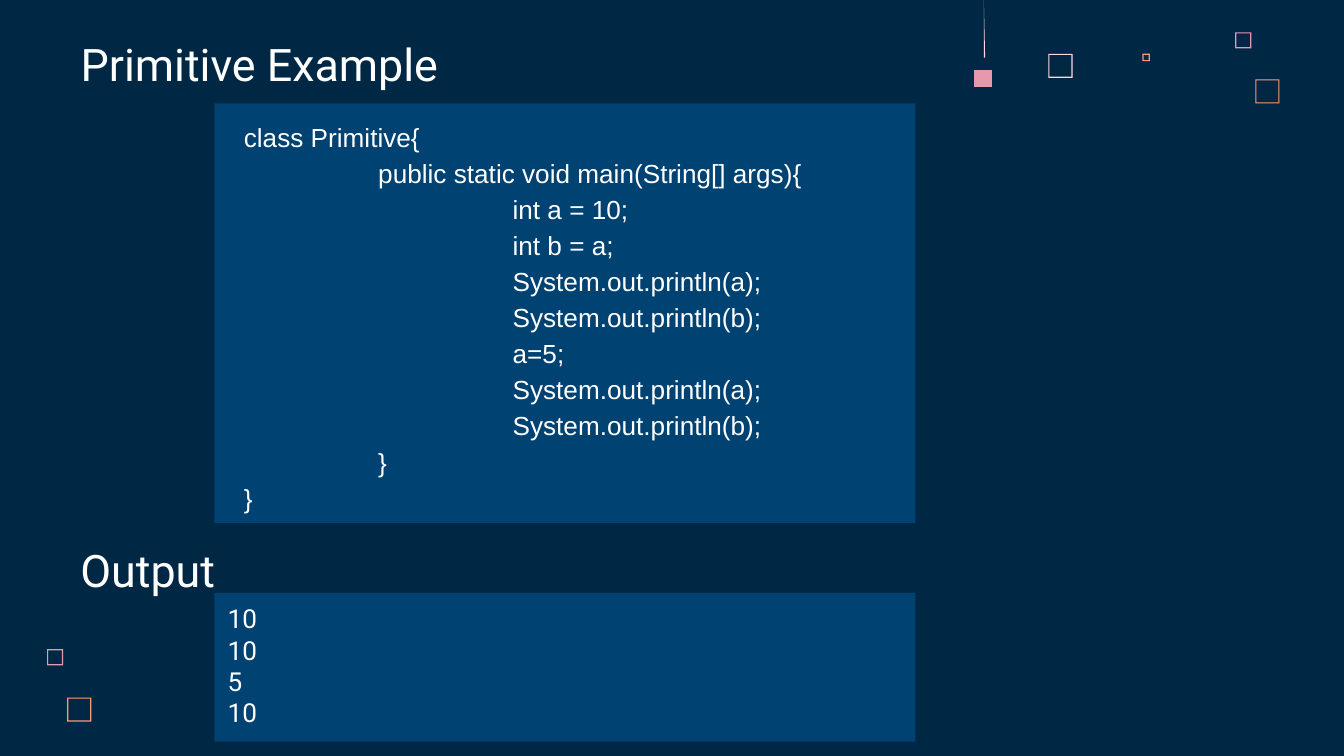
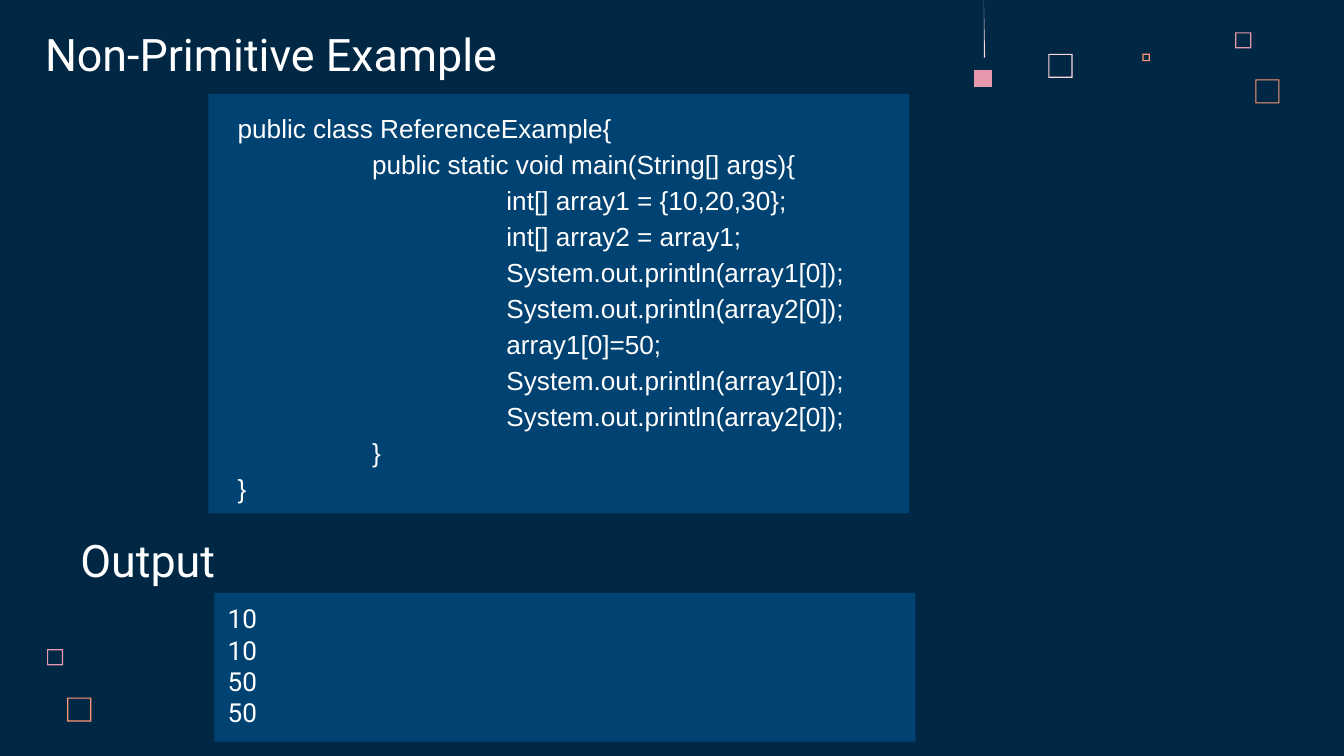
from pptx import Presentation
from pptx.dml.color import RGBColor
from pptx.enum.shapes import MSO_SHAPE
from pptx.enum.text import MSO_ANCHOR, MSO_AUTO_SIZE, PP_ALIGN
from pptx.util import Inches, Pt

COLORS = {
    "background": "002845",
    "panel": "004271",
    "text": "FFFFFF",
    "blush": "FFD6E1",
    "pink": "E898AC",
    "orange": "FF9973",
}

presentation = Presentation()
presentation.slide_width = Inches(10)
presentation.slide_height = presentation.slide_width * 9 // 16
column = row = presentation.slide_width // 100


def on_grid(left, top, width, height):
    return [round(left * column), round(top * row), round(width * column), round(height * row)]


def write_lines(shape, lines, font_name, size, anchor, alignment=PP_ALIGN.LEFT):
    frame = shape.text_frame
    frame.word_wrap = True
    frame.auto_size = MSO_AUTO_SIZE.NONE
    frame.vertical_anchor = anchor
    frame.margin_left = frame.margin_right = column
    frame.margin_top = frame.margin_bottom = row
    frame.text = "\n".join(lines)
    for paragraph in frame.paragraphs:
        paragraph.alignment = alignment
        paragraph.font.name = font_name
        paragraph.font.size = Pt(size)
        paragraph.font.color.rgb = RGBColor.from_string(COLORS["text"])


layout = presentation.slide_layouts[0]
layout.background.fill.solid()
layout.background.fill.fore_color.rgb = RGBColor.from_string(COLORS["background"])
for placeholder in list(layout.placeholders):
    if placeholder.placeholder_format.idx != 0:
        layout.shapes.element.remove(placeholder.element)

code_panel_size = (52.15, 31.2)
output_panel = (15.96, 44.13, 52.15, 11.05)

examples = [
    {
        "title": "Primitive Example",
        "title_box": (5, 3.9, 29.4, 3.8),
        "code_corner": (15.96, 7.7),
        "output_top": 41.6,
        "class": "class Primitive{",
        "body": [
            "int a = 10;",
            "int b = a;",
            "System.out.println(a);",
            "System.out.println(b);",
            "a=5;",
            "System.out.println(a);",
            "System.out.println(b);",
        ],
        "output": ["10", "10", "5", "10"],
    },
    {
        "title": "Non-Primitive Example",
        "title_box": (2.35, 3.2, 36.7, 3.8),
        "code_corner": (15.5, 7),
        "output_top": 40.85,
        "class": "public class ReferenceExample{",
        "body": [
            "int[] array1 = {10,20,30};",
            "int[] array2 = array1;",
            "System.out.println(array1[0]);",
            "System.out.println(array2[0]);",
            "array1[0]=50;",
            "System.out.println(array1[0]);",
            "System.out.println(array2[0]);",
        ],
        "output": ["10", "10", "50", "50"],
    },
]

slides = [presentation.slides.add_slide(layout) for example in examples]

square_frames = [
    (78, 4, 1.8, "blush"),
    (91.9, 2.4, 1.2, "pink"),
    (85, 4, 0.56, "orange"),
    (93.4, 5.9, 1.8, "orange"),
    (3.5, 48.3, 1.2, "pink"),
    (5, 51.9, 1.8, "orange"),
]
ornaments = [
    ([[(72.5, 5.2), (72.5, 6.5), (73.8, 6.5), (73.8, 5.2)]], "pink"),
    ([[(73.2, 0), (73.2, 4.3), (73.3, 4.3)]], "blush"),
]
for left, top, side, color in square_frames:
    right, bottom, edge = left + side, top + side, 0.09
    outer = [(left, top), (left, bottom), (right, bottom), (right, top)]
    inner = [
        (right - edge, top + edge),
        (right - edge, bottom - edge),
        (left + edge, bottom - edge),
        (left + edge, top + edge),
    ]
    ornaments.append(([inner, outer], color))

for contours, color in ornaments:
    contours = [[(x * column, y * row) for x, y in contour] for contour in contours]
    builder = slides[0].shapes.build_freeform(*contours[0][0])
    builder.add_line_segments(contours[0][1:], close=True)
    for contour in contours[1:]:
        builder.move_to(*contour[0])
        builder.add_line_segments(contour[1:], close=True)
    ornament = builder.convert_to_shape()
    ornament.shadow.inherit = False
    ornament.fill.solid()
    ornament.fill.fore_color.rgb = RGBColor.from_string(COLORS[color])
    ornament.line.fill.background()
    layout.shapes.element.append(ornament.element)

for slide, example in zip(slides, examples):
    title = slide.shapes.title
    title.left, title.top, title.width, title.height = on_grid(*example["title_box"])
    write_lines(title, [example["title"]], "Roboto", 24, MSO_ANCHOR.BOTTOM)

    code_box = on_grid(*example["code_corner"], *code_panel_size)
    code_panel = slide.shapes.add_shape(MSO_SHAPE.RECTANGLE, *code_box)
    heading_box = on_grid(5, example["output_top"], 29.4, 3.8)
    output_heading = slide.shapes.add_textbox(*heading_box)
    result_panel = slide.shapes.add_shape(MSO_SHAPE.RECTANGLE, *on_grid(*output_panel))
    for panel in (code_panel, result_panel):
        panel.shadow.inherit = False
        panel.fill.solid()
        panel.fill.fore_color.rgb = RGBColor.from_string(COLORS["panel"])
        panel.line.fill.background()

    code = [example["class"], "\tpublic static void main(String[] args){"]
    code += ["\t\t" + statement for statement in example["body"]]
    code += ["\t}", "}"]
    write_lines(code_panel, code, "Arial", 14, MSO_ANCHOR.TOP)
    for paragraph in code_panel.text_frame.paragraphs:
        paragraph.line_spacing = 1.15
        properties = paragraph.font._element.getparent()
        properties.set("marL", str(Inches(0.12)))
        properties.set("indent", "0")
        properties.set("defTabSz", str(Inches(1)))

    write_lines(output_heading, ["Output"], "Roboto", 24, MSO_ANCHOR.BOTTOM)
    write_lines(result_panel, example["output"], "Roboto", 14, MSO_ANCHOR.BOTTOM, PP_ALIGN.JUSTIFY)

presentation.save("out.pptx")
